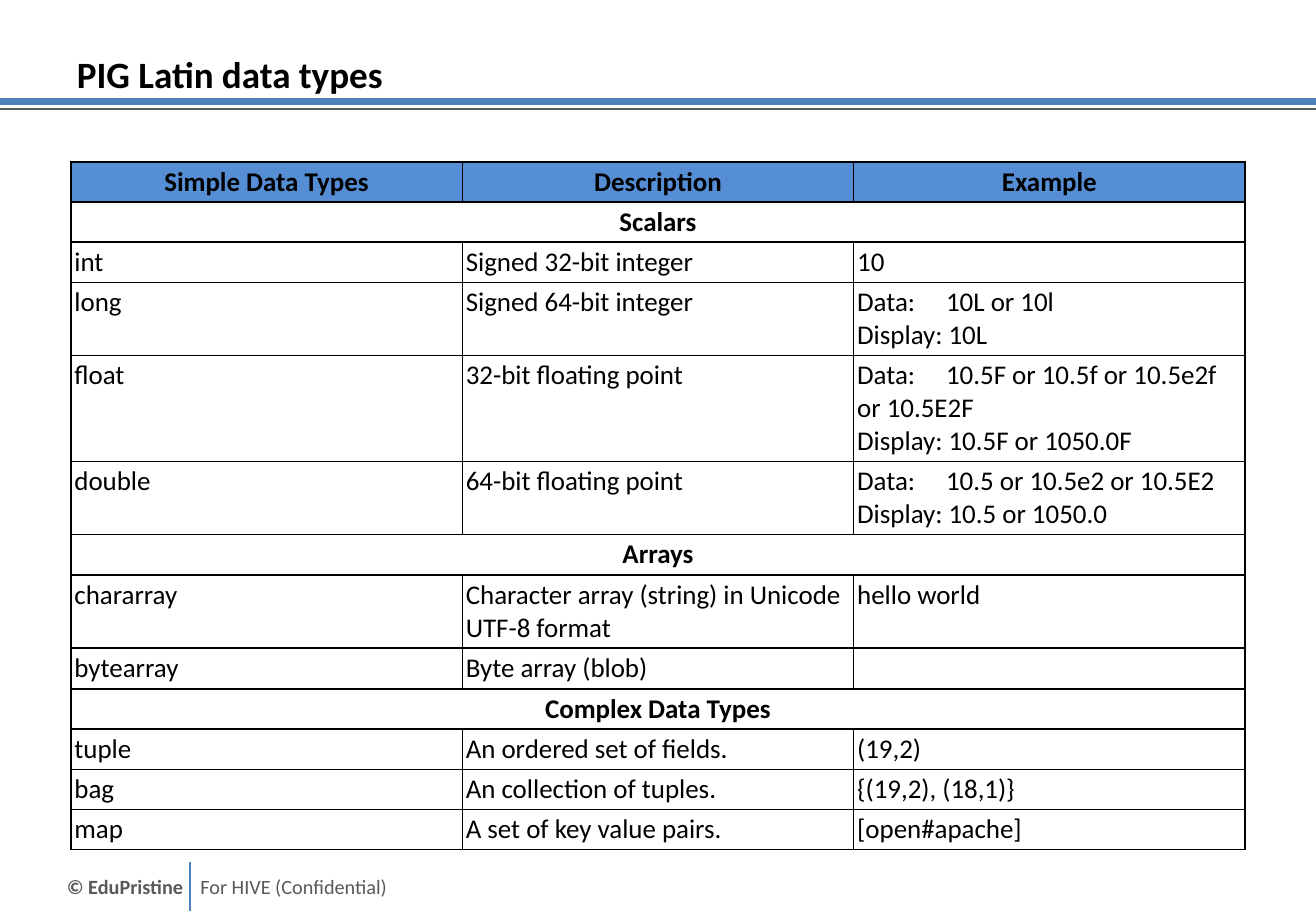
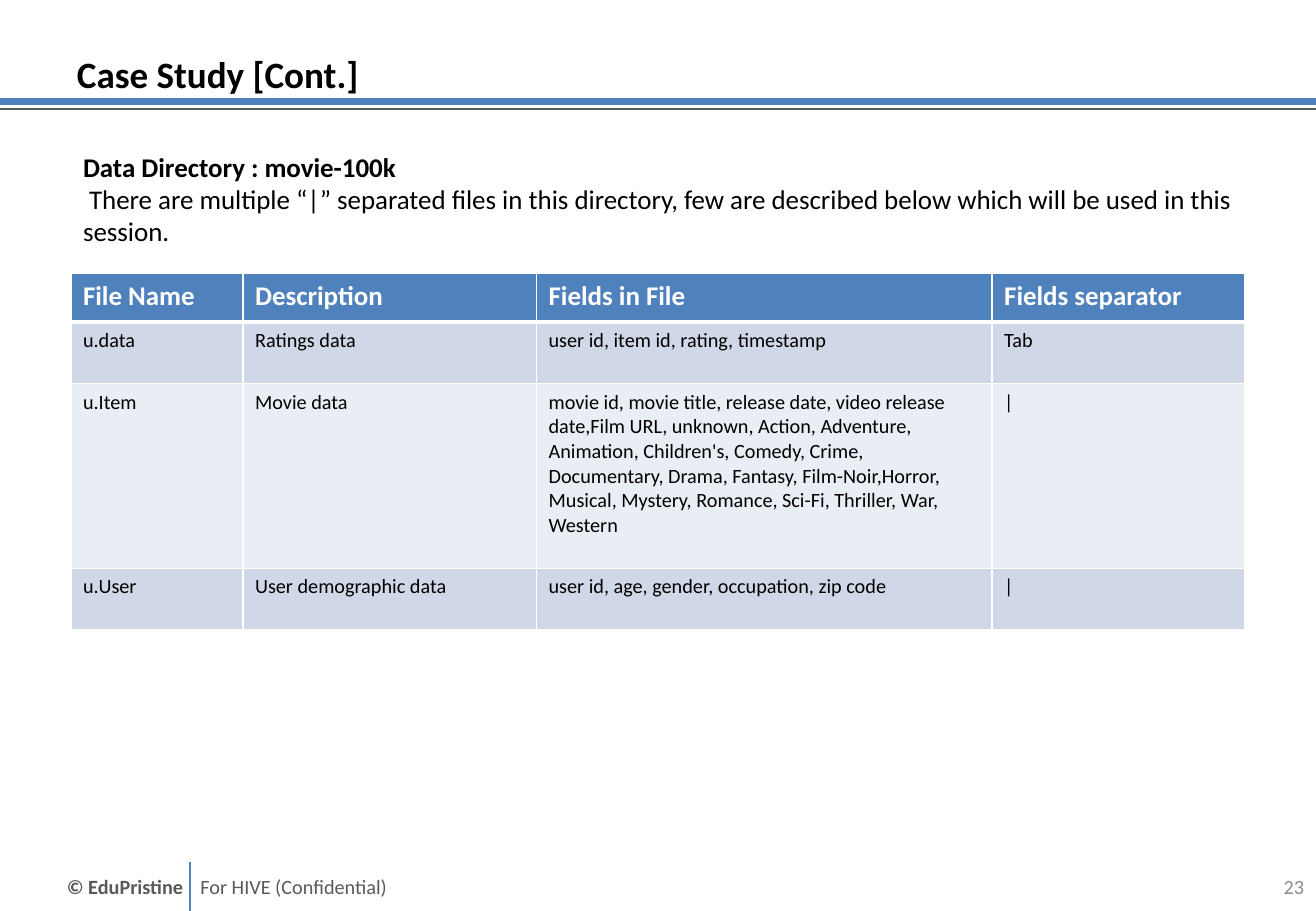
from lxml import etree
from pptx import Presentation
from pptx.dml.color import RGBColor
from pptx.enum import shapes, text
from pptx.oxml import ns
from pptx.util import Pt

BLACK = RGBColor(0x00, 0x00, 0x00)
WHITE = RGBColor(0xFF, 0xFF, 0xFF)
BLUE = RGBColor(0x4F, 0x81, 0xBD)
HEADER_BLUE = RGBColor(0x55, 0x8E, 0xD5)
BAND_DARK = RGBColor(0xD0, 0xD8, 0xE8)
BAND_LIGHT = RGBColor(0xE9, 0xED, 0xF4)
DARK_GRAY = RGBColor(0x59, 0x59, 0x59)
NUMBER_GRAY = RGBColor(0x8C, 0x8C, 0x8C)
FONT = "Calibri"
LEFT = text.PP_ALIGN.LEFT
CENTER = text.PP_ALIGN.CENTER
RIGHT = text.PP_ALIGN.RIGHT
MIDDLE = text.MSO_ANCHOR.MIDDLE
TABLE_LEFT = 42
TABLE_WIDTH = 696
DATA_TAB = 52.7


def write(frame, words, size=16, bold=False, color=BLACK, align=LEFT, spacing=None):
    for line in words.split("\n"):
        para = frame.add_paragraph() if frame.text else frame.paragraphs[0]
        para.alignment = align
        para.space_before = Pt(0)
        if spacing:
            para.line_spacing = Pt(spacing)
        if "\t" in line:
            tabs = etree.SubElement(para._p.get_or_add_pPr(), ns.qn("a:tabLst"))
            etree.SubElement(tabs, ns.qn("a:tab"), pos=str(Pt(DATA_TAB)), algn="l")
        span = para.add_run()
        span.text = line
        span.font.name = FONT
        span.font.size = Pt(size)
        span.font.bold = bold
        span.font.color.rgb = color


def format_cell(cell, fill, border, top=1, bottom=1):
    if fill is None:
        cell.fill.background()
    else:
        cell.fill.solid()
        cell.fill.fore_color.rgb = fill
    properties = cell._tc.get_or_add_tcPr()
    edges = (("a:lnL", 1), ("a:lnR", 1), ("a:lnT", top), ("a:lnB", bottom))
    for place, (edge, width) in enumerate(edges):
        line = etree.Element(ns.qn(edge), w=str(Pt(width)))
        solid = etree.SubElement(line, ns.qn("a:solidFill"))
        etree.SubElement(solid, ns.qn("a:srgbClr"), val=str(border))
        properties.insert(place, line)


deck = Presentation()
deck.slide_width = Pt(780)
deck.slide_height = Pt(540)
layout = deck.slide_layouts[1]
for holder in list(layout.placeholders)[2:]:
    holder.element.getparent().remove(holder.element)
layout_title = layout.placeholders[0]
layout_title.left, layout_title.top = Pt(42), Pt(5)
layout_title.width, layout_title.height = Pt(638), Pt(55.5)

pages = []
for heading in ("PIG Latin data types", "Case Study [Cont.]"):
    page = deck.slides.add_slide(layout)
    frame = page.shapes.title.text_frame
    frame.auto_size = text.MSO_AUTO_SIZE.NONE
    frame.vertical_anchor = text.MSO_ANCHOR.BOTTOM
    frame.margin_left = frame.margin_right = Pt(3.6)
    frame.margin_top = frame.margin_bottom = Pt(3.6)
    write(frame, heading, size=22, bold=True, spacing=22)
    pages.append(page)
types_page, files_page = pages

shared = []
for x1, y1, x2, y2, color, width in (
    (0, 60, 780, 60, BLUE, 4),
    (0, 64.8, 780, 64.8, DARK_GRAY, 1),
    (112.7, 511, 112.7, 540, BLUE, 1.5),
):
    rule = types_page.shapes.add_connector(
        shapes.MSO_CONNECTOR.STRAIGHT, Pt(x1), Pt(y1), Pt(x2), Pt(y2)
    )
    rule.line.color.rgb = color
    rule.line.width = Pt(width)
    etree.SubElement(rule.element.spPr, ns.qn("a:effectLst"))
    shared.append(rule)

for page, words, left, width, inset, bold, color, align in (
    (types_page, "© EduPristine", 39.6, 110, (0, 0), True, DARK_GRAY, LEFT),
    (types_page, "For HIVE (Confidential)", 118.8, 247, (0, 7.2), False, DARK_GRAY, LEFT),
    (files_page, "23", 741, 39, (7.2, 7.2), False, NUMBER_GRAY, RIGHT),
):
    box = page.shapes.add_textbox(Pt(left), Pt(511), Pt(width), Pt(29))
    frame = box.text_frame
    frame.word_wrap = True
    frame.vertical_anchor = MIDDLE
    frame.margin_left, frame.margin_right = Pt(inset[0]), Pt(inset[1])
    write(frame, words, size=12, bold=bold, color=color, align=align)
    if page is types_page:
        shared.append(box)

for shape in shared:
    layout.shapes.element.append(shape.element)

unused_body = types_page.placeholders[1].element
unused_body.getparent().remove(unused_body)

data_types = [
    ("Simple Data Types", "Description", "Example"),
    ("Scalars",),
    ("int", "Signed 32-bit integer", "10"),
    ("long", "Signed 64-bit integer", "Data:\t10L or 10l\nDisplay: 10L"),
    (
        "float",
        "32-bit floating point",
        "Data:\t10.5F or 10.5f or 10.5e2f or 10.5E2F\nDisplay: 10.5F or 1050.0F",
    ),
    (
        "double",
        "64-bit floating point",
        "Data:\t10.5 or 10.5e2 or 10.5E2\nDisplay: 10.5 or 1050.0",
    ),
    ("Arrays",),
    ("chararray", "Character array (string) in Unicode UTF-8 format", "hello world"),
    ("bytearray", "Byte array (blob)", ""),
    ("Complex Data Types",),
    ("tuple", "An ordered set of fields.", "(19,2)"),
    ("bag", "An collection of tuples.", "{(19,2), (18,1)}"),
    ("map", "A set of key value pairs.", "[open#apache]"),
]
line_counts = {"long": 2, "float": 3, "double": 2, "chararray": 2}
types_table = types_page.shapes.add_table(
    len(data_types), 3, Pt(TABLE_LEFT), Pt(96), Pt(TABLE_WIDTH), Pt(406)
).table
types_table.first_row = types_table.horz_banding = False
for row, entries in enumerate(data_types):
    types_table.rows[row].height = Pt(4.2 + 19.53 * line_counts.get(entries[0], 1))
    section = len(entries) == 1
    strong = row == 0 or section
    for column in range(3):
        cell = types_table.cell(row, column)
        cell.margin_left = cell.margin_right = Pt(2.1)
        cell.margin_top = cell.margin_bottom = Pt(2.1)
        format_cell(cell, HEADER_BLUE if row == 0 else None, BLACK)
    if section:
        types_table.cell(row, 0).merge(types_table.cell(row, 2))
    for column, words in enumerate(entries):
        frame = types_table.cell(row, column).text_frame
        write(frame, words, bold=strong, align=CENTER if strong else LEFT)

body = files_page.placeholders[1]
body.left, body.top, body.width, body.height = Pt(42), Pt(85.7), Pt(702), Pt(394)
frame = body.text_frame
frame.auto_size = text.MSO_AUTO_SIZE.NONE
write(frame, "Data Directory : movie-100k", bold=True, spacing=19)
write(
    frame,
    " There are multiple “|” separated files in this directory, few are described below "
    "which will be used in this session.",
    spacing=19,
)
for para in frame.paragraphs:
    properties = para._p.get_or_add_pPr()
    properties.set("marL", "0")
    properties.set("indent", "0")
    etree.SubElement(properties, ns.qn("a:buNone"))

files = [
    ("File Name", "Description", "Fields in File", "Fields separator"),
    ("u.data", "Ratings data", "user id, item id, rating, timestamp", "Tab"),
    (
        "u.Item",
        "Movie data",
        "movie id, movie title, release date, video release date,Film URL, unknown, "
        "Action, Adventure, Animation, Children's, Comedy, Crime, Documentary, Drama, "
        "Fantasy, Film-Noir,Horror, Musical, Mystery, Romance, Sci-Fi, Thriller, War, "
        "Western",
        "|",
    ),
    ("u.User", "User demographic data", "user id, age, gender, occupation, zip code", "|"),
]
files_table = files_page.shapes.add_table(
    len(files), 4, Pt(TABLE_LEFT), Pt(162), Pt(TABLE_WIDTH), Pt(211.5)
).table
files_table.horz_banding = False
for column, width in enumerate((102, 174, 270, 150)):
    files_table.columns[column].width = Pt(width)
fills = (BLUE, BAND_DARK, BAND_LIGHT, BAND_DARK)
for row, (entries, height, fill) in enumerate(zip(files, (29, 36.5, 109.5, 36.5), fills)):
    files_table.rows[row].height = Pt(height)
    header = row == 0
    for column, words in enumerate(entries):
        cell = files_table.cell(row, column)
        format_cell(cell, fill, WHITE, top=3 if row == 1 else 1, bottom=3 if header else 1)
        write(
            cell.text_frame,
            words,
            size=16 if header else 12,
            bold=header,
            color=WHITE if header else BLACK,
        )

deck.save("out.pptx")
